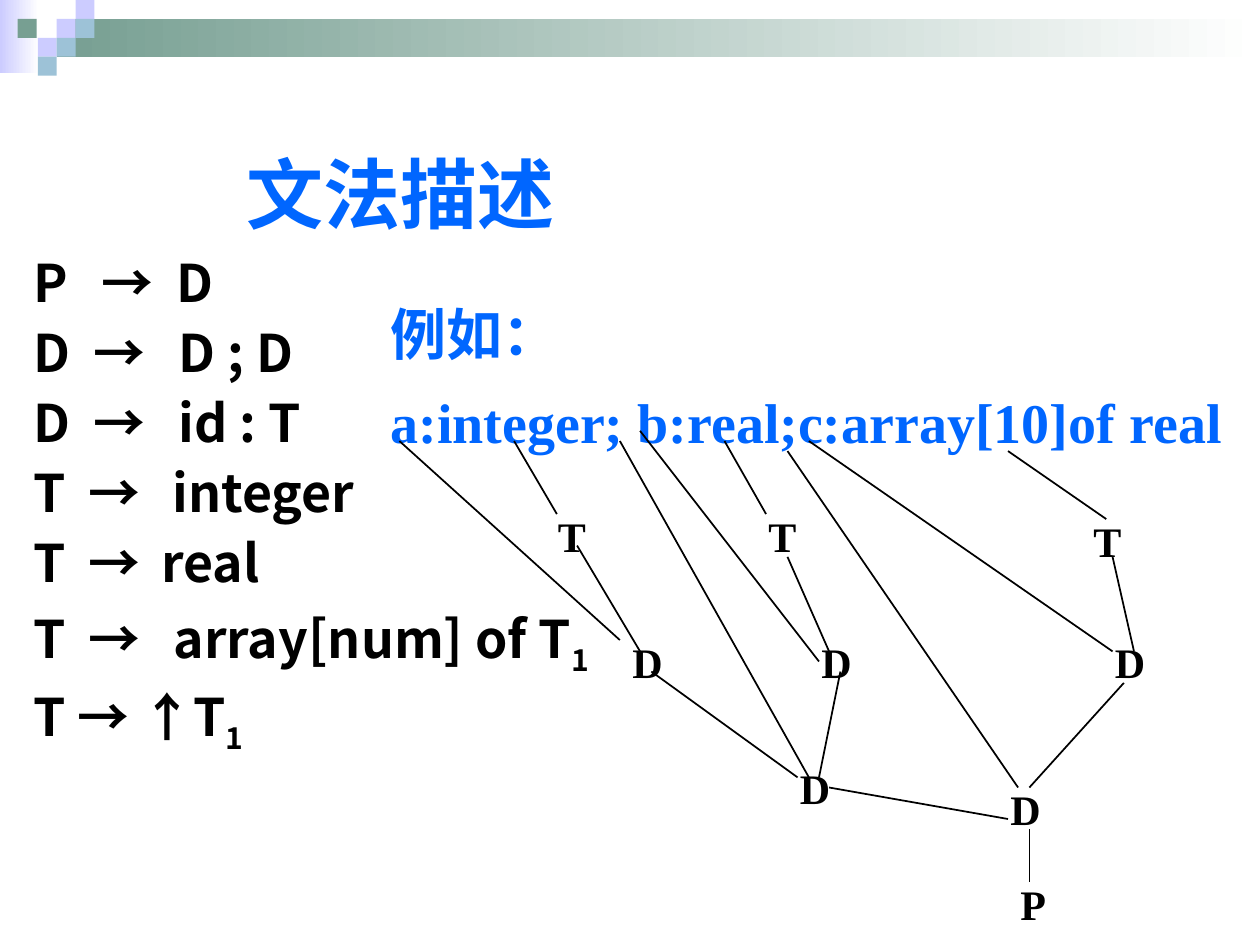
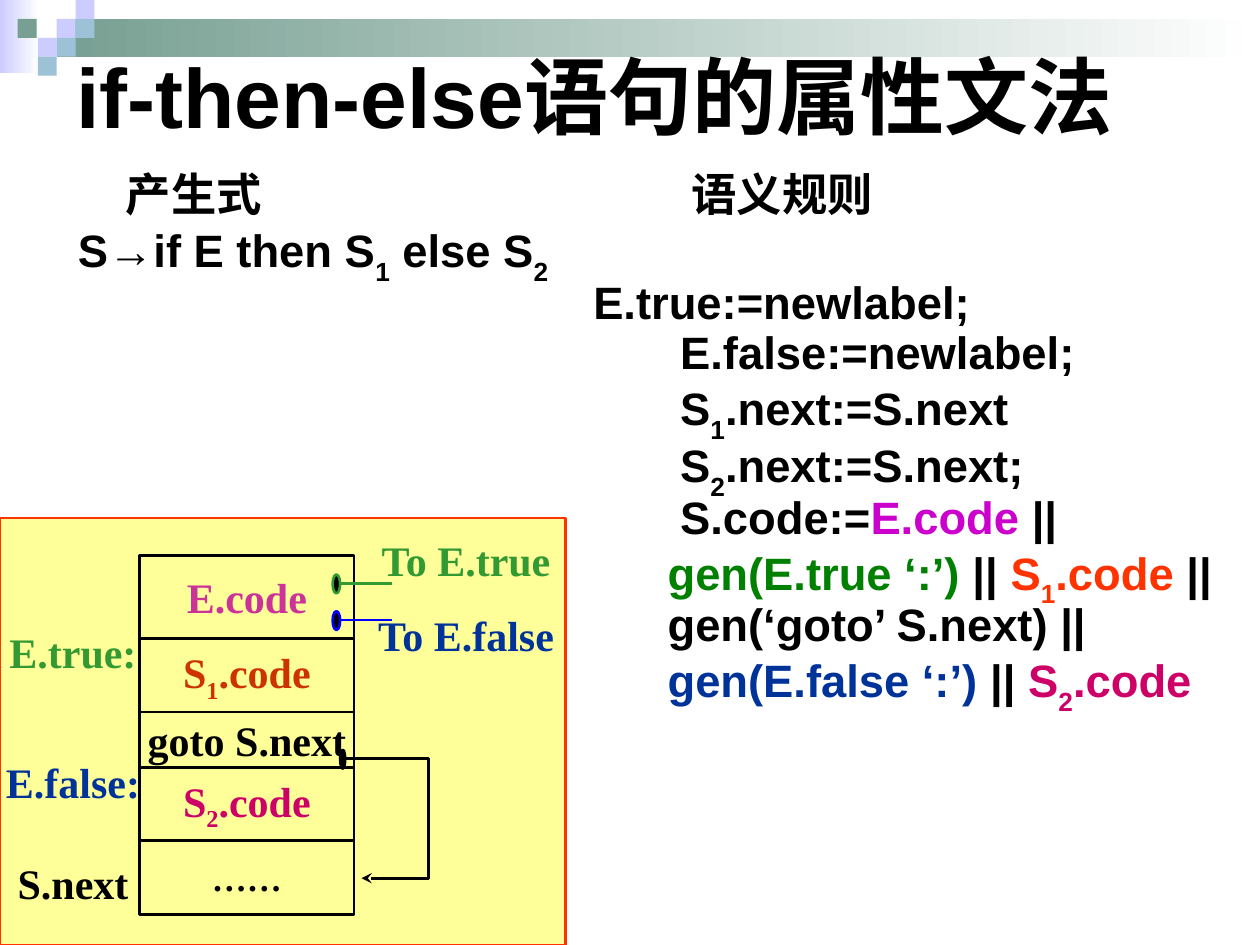
"""Build two slides on grammars and attribute rules."""
from lxml.etree import SubElement
from pptx import Presentation
from pptx.dml.color import RGBColor
from pptx.enum.shapes import MSO_CONNECTOR as CONNECTOR, MSO_SHAPE as SHAPE
from pptx.enum.text import MSO_ANCHOR as ANCHOR, PP_ALIGN as ALIGN
from pptx.oxml.ns import qn
from pptx.util import Pt

PX = 9144
BLACK, BLUE, GREEN, NAVY, ROSE = "000000", "0066FF", "339933", "003399", "CC0066"
LILAC, SKY, SAGE, WHITE = "CCCCFF", "9DC2D7", "779F92", "FFFFFF"
SANS, SERIF, CJK = "Arial", "Times New Roman", "Noto Sans CJK JP"
rgb = RGBColor.from_string


def draw(slide, kind, place, fill=None, line=None, wrap=True, anchor=ANCHOR.TOP):
    """Add a preset shape, or a text box when kind is None."""
    place = [length * PX for length in place]
    if kind is None:
        shape = slide.shapes.add_textbox(*place)
    else:
        shape = slide.shapes.add_shape(kind, *place)
        shape.shadow.inherit = False
        if fill:
            shape.fill.solid()
            shape.fill.fore_color.rgb = rgb(fill)
        else:
            shape.fill.background()
        if line:
            shape.line.color.rgb = rgb(line)
            shape.line.width = Pt(1.5)
        else:
            shape.line.fill.background()
    shape.text_frame.word_wrap = wrap
    shape.text_frame.vertical_anchor = anchor
    return shape


def write(shape, pieces, size, font, color=BLACK, align=ALIGN.LEFT, before=0,
          spacing=None, margin=0, tabs=(), drop=25):
    """Add one bold paragraph; a tilde lowers the character after it."""
    frame = shape.text_frame
    first = not frame.text
    paragraph = frame.paragraphs[0] if first else frame.add_paragraph()
    paragraph.alignment = align
    if before and not first:
        paragraph.space_before = Pt(before)
    if spacing:
        paragraph.line_spacing = spacing
    properties = paragraph._p.get_or_add_pPr()
    if margin:
        properties.set("marL", str(margin * PX))
    if tabs:
        stops = SubElement(properties, qn("a:tabLst"))
        for stop in tabs:
            SubElement(stops, qn("a:tab"), pos=str(stop * PX), algn="l")
    paragraph.font.size = Pt(size)
    paragraph.font.bold = True
    paragraph.font.name = font
    paragraph.font.color.rgb = rgb(color)
    SubElement(properties.find(qn("a:defRPr")), qn("a:ea"), typeface=CJK)
    for text, piece_color in [(pieces, None)] if isinstance(pieces, str) else pieces:
        normal, *lowered = text.split("~")
        parts = [(normal, False)]
        for part in lowered:
            parts += [(part[0], True), (part[1:], False)]
        for content, is_low in parts:
            if content:
                run = paragraph.add_run()
                run.text = content
                if piece_color:
                    run.font.color.rgb = rgb(piece_color)
                if is_low:
                    run._r.get_or_add_rPr().set("baseline", str(-drop * 1000))


presentation = Presentation()
presentation.slide_width, presentation.slide_height = 1000 * PX, 750 * PX
grammar, rules = [presentation.slides.add_slide(presentation.slide_layouts[6]) for _ in range(2)]

squares = [(45, 15, LILAC), (60, 0, LILAC), (60, 15, SKY), (30, 30, LILAC),
           (14, 15, SAGE), (45, 30, SKY), (30, 45, SKY)]
for slide in (grammar, rules):
    for place, start in [((0, 0, 31, 58), LILAC), ((45, 15, 955, 30), SAGE)]:
        band = draw(slide, SHAPE.RECTANGLE, place)
        band.fill.gradient()
        band.fill.gradient_angle = 0
        for stop, color in zip(band.fill.gradient_stops, (start, WHITE)):
            stop.color.rgb = rgb(color)
    for left, top, color in squares:
        draw(slide, SHAPE.RECTANGLE, (left, top, 15, 15), color)

title = draw(grammar, None, (50, 106, 536, 94), anchor=ANCHOR.MIDDLE)
write(title, "文法描述", 44, CJK, BLUE, ALIGN.CENTER)

productions = draw(grammar, None, (17, 200, 492, 450))
for text, tabs in [
    ("P\t→\tD", (54, 113)),
    ("D\t→\tD ; D", (47, 115)),
    ("D\t→\tid : T", (47, 115)),
    ("T\t→\tinteger", (43, 110)),
    ("T\t→\treal", (43, 101)),
    ("T\t→\tarray[num] of T~1", (43, 111)),
    ("T → ↑T~1", ()),
]:
    write(productions, text, 29.6, CJK, before=8, spacing=0.9, tabs=tabs)

example = draw(grammar, None, (300, 233, 700, 134))
for text in ("例如：", "a:integer; b:real;c:array[10]of real"):
    write(example, text, 32, SERIF, BLUE, before=12)

for symbol, left, top in [
    ("T", 433, 400), ("T", 600, 400), ("T", 858, 404),
    ("D", 492, 500), ("D", 642, 500), ("D", 875, 500),
    ("D", 625, 600), ("D", 792, 617), ("P", 800, 692),
]:
    write(draw(grammar, None, (left, top, 50, 50)), symbol, 24, SERIF)

branches = [
    (408, 350, 442, 408), (575, 350, 608, 408), (800, 358, 878, 412),
    (317, 350, 492, 508), (458, 433, 508, 517), (625, 442, 658, 517),
    (508, 342, 650, 525), (883, 442, 900, 517), (642, 350, 883, 517),
    (492, 350, 642, 617), (517, 533, 633, 617), (667, 533, 650, 617),
    (658, 625, 800, 650), (625, 358, 808, 625), (892, 542, 817, 625),
    (817, 658, 817, 700),
]
lines = [(grammar, ends, BLACK, 1) for ends in branches]

title = draw(rules, None, (51, 0, 900, 150), anchor=ANCHOR.MIDDLE)
write(title, "if-then-else语句的属性文法", 48, SANS)

heading = draw(rules, None, (539, 139, 461, 50))
write(heading, "语义规则", 25.9, SANS, spacing=0.7)
body = draw(rules, None, (52, 139, 948, 450))
for pieces, margin in [
    ("产生式", 38),
    ("S→if E then S~1 else S~2", 0),
    ("E.true:=newlabel;", 409),
    ("E.false:=newlabel;", 478),
    ("S~1.next:=S.next", 478),
    ("S~2.next:=S.next;", 478),
    ([("S.code:=", None), ("E.code", "CC00CC"), (" ||", None)], 478),
    ([("gen(E.true ‘:’)", "008000"), (" || ", None), ("S~1.code", "FF3300"),
      (" ||", None)], 468),
    ("gen(‘goto’ S.next) ||", 468),
    ([("gen(E.false ‘:’)", NAVY), (" || ", None), ("S~2.code", ROSE)], 468),
]:
    write(body, pieces, 25.9, SANS, before=7, spacing=0.7, margin=margin, drop=30)

draw(rules, SHAPE.RECTANGLE, (0, 411, 449, 339), "FFFF99", "FF3300")
top = 441
for text, height, size, color in [
    ("E.code", 66, 24, "CC3399"), ("S~1.code", 58, 24, "CC3300"),
    ("goto S.next", 44, 24, BLACK), ("S~2.code", 58, 24, ROSE), ("……", 59, 20, BLACK),
]:
    segment = draw(rules, SHAPE.RECTANGLE, (111, top, 170, height), None, BLACK, False, ANCHOR.MIDDLE)
    write(segment, text, size, SERIF, color, ALIGN.CENTER)
    top += height

for text, left, top, color in [
    ("To E.true", 317, 419, GREEN), ("To E.false", 317, 478, NAVY),
    ("E.true:", 5, 492, GREEN), ("E.false:", 5, 595, NAVY), ("S.next", 5, 675, BLACK),
]:
    label = draw(rules, SHAPE.RECTANGLE, (left, top, 106, 51), wrap=False, anchor=ANCHOR.MIDDLE)
    write(label, text, 24, SERIF, color, ALIGN.CENTER)

for left, top, width, color in [(264, 456, 6, GREEN), (264, 485, 6, "0000FF"), (270, 595, 4, BLACK)]:
    draw(rules, SHAPE.OVAL, (left, top, width, 15), BLACK, color)
for y, color in [(463, GREEN), (492, "0000FF")]:
    lines.append((rules, (270, y, 311, y), color, 1.5))

builder = rules.shapes.build_freeform(273, 602, scale=PX)
builder.add_line_segments([(340, 602), (340, 697), (287, 697)], close=False)
jump = builder.convert_to_shape()
jump.shadow.inherit = False
jump.fill.background()
jump.line.color.rgb = rgb(BLACK)
jump.line.width = Pt(1.5)
SubElement(jump._element.spPr.find(qn("a:ln")), qn("a:tailEnd"), type="stealth")

for slide, ends, color, width in lines:
    connector = slide.shapes.add_connector(CONNECTOR.STRAIGHT, *[end * PX for end in ends])
    connector.line.color.rgb = rgb(color)
    connector.line.width = Pt(width)
    SubElement(connector._element.spPr, qn("a:effectLst"))

presentation.save("out.pptx")
